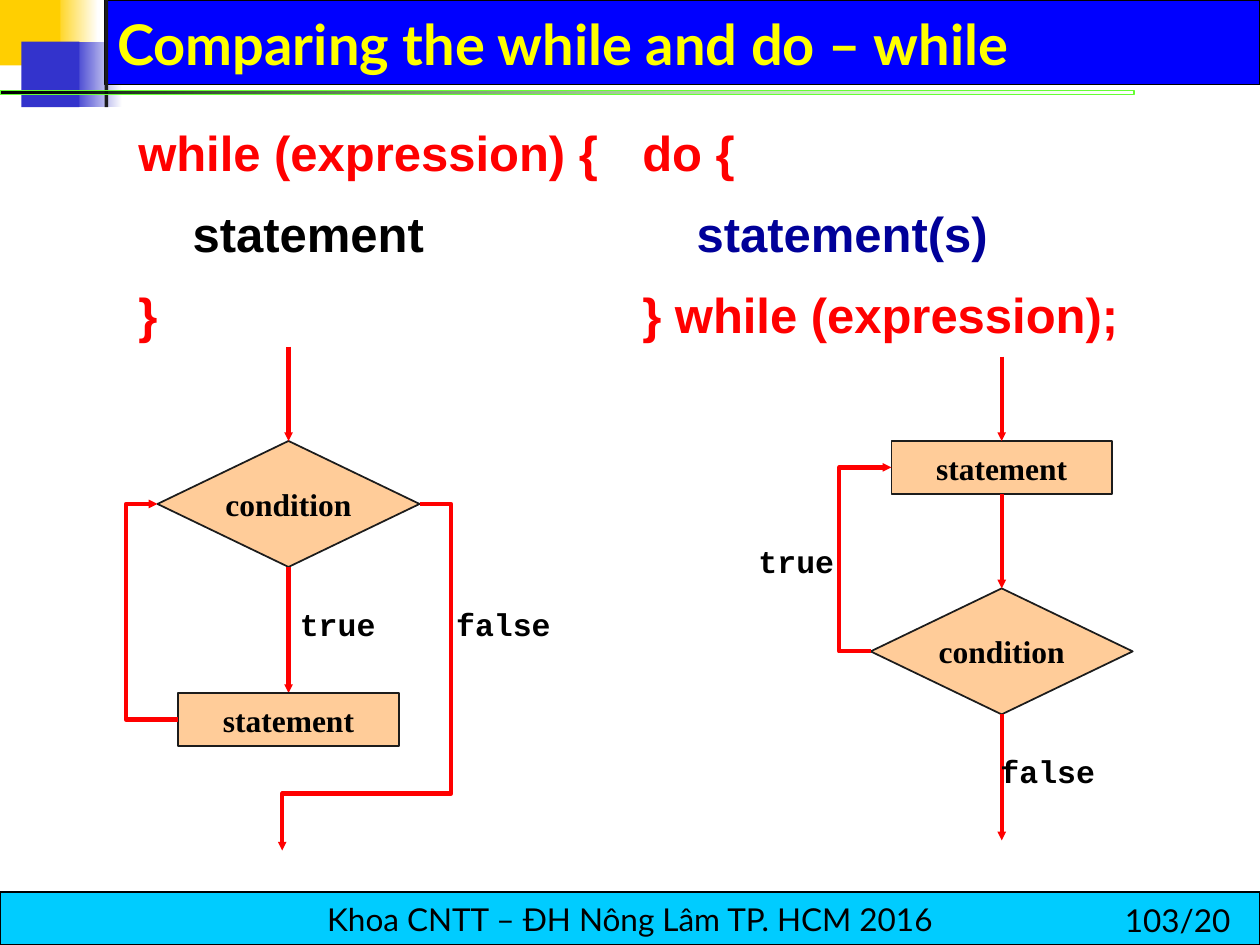
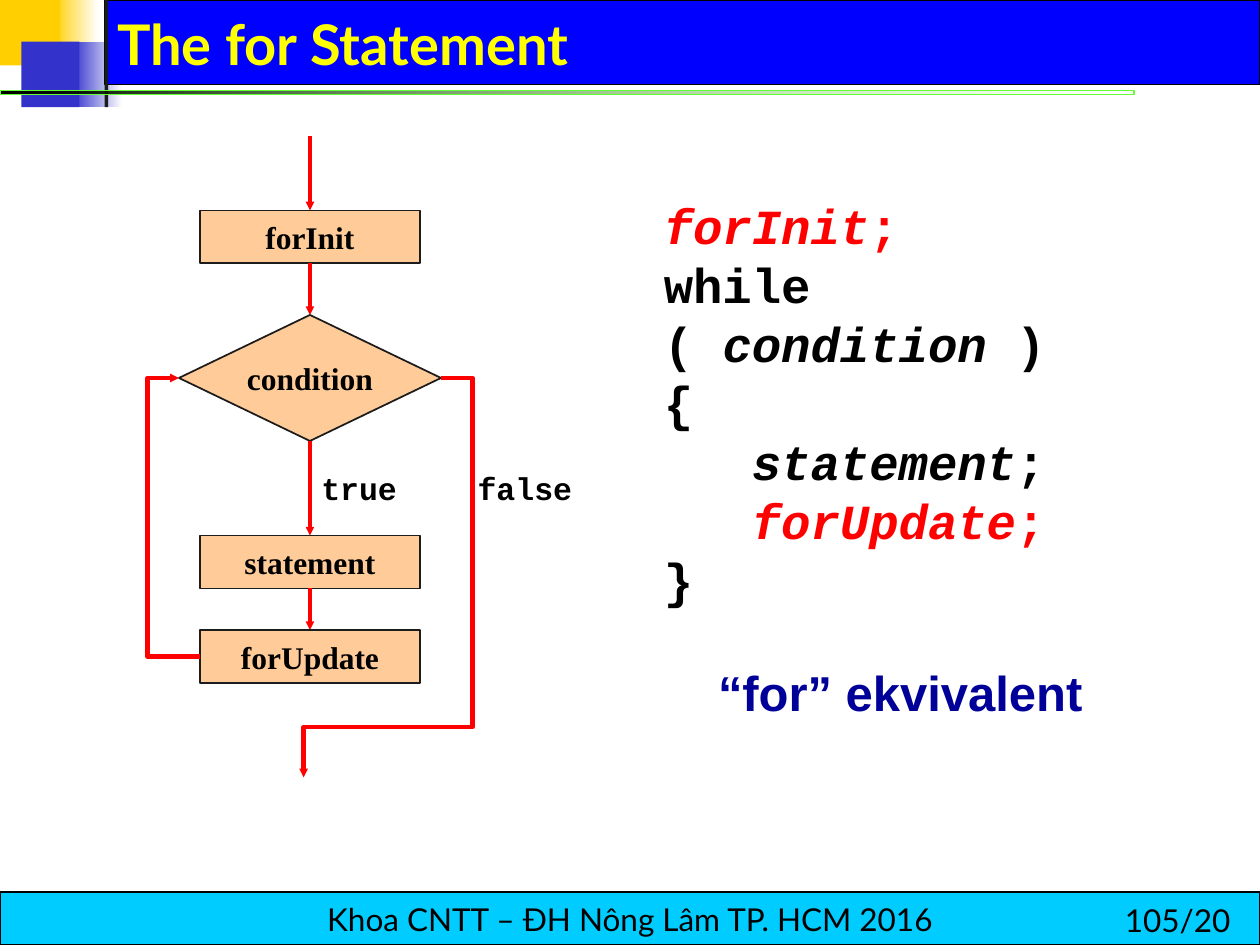
from pptx import Presentation
from pptx import util as u
from pptx.dml.color import RGBColor
from pptx.enum import shapes, text
from pptx.oxml.ns import qn
from lxml import etree

Inches, Pt = u.Inches, u.Pt
RECT, DIAMOND = shapes.MSO_SHAPE.RECTANGLE, shapes.MSO_SHAPE.DIAMOND
STRAIGHT, ELBOW = shapes.MSO_CONNECTOR.STRAIGHT, shapes.MSO_CONNECTOR.ELBOW
MIDDLE, CENTER = text.MSO_ANCHOR.MIDDLE, text.PP_ALIGN.CENTER

RED, NAVY, BLACK, INK = "FF0000", "000099", "000000", "1C1C1C"
YELLOW, GOLD, INDIGO, GREEN = "FFFF00", "FFCF01", "3333CC", "66FF33"
BLUE, CYAN, PEACH, WHITE = "0000FF", "00CCFF", "FFCC99", "FFFFFF"
TITLE_FONT, BODY, CODE, NODE = "Lato", "Arial", "Courier New", "Times New Roman"

BOX_W, BOX_H = 1.75, 0.42
DIA_W, DIA_H = 2.08, 1.0
LOOP_GAP = 0.25  # distance from the diamond's tips to the side lines


def rgb(color):
    return RGBColor.from_string(color)


def add_run(p, words, size, font, color, bold=True, italic=False):
    r = p.add_run()
    r.text = words
    f = r.font
    f.size, f.name, f.bold, f.italic = Pt(size), font, bold, italic
    f.color.rgb = rgb(color)


def add_shape(s, kind, x, y, w, h, fill, line=None, line_w=0.75):
    """Preset shape; a pair of colours as fill gives a left-to-right gradient."""
    sp = s.shapes.add_shape(kind, Inches(x), Inches(y), Inches(w), Inches(h))
    sp.shadow.inherit = False
    if isinstance(fill, tuple):
        sp.fill.gradient()
        sp.fill.gradient_angle = 0
        for stop, color in zip(sp.fill.gradient_stops, fill):
            stop.color.rgb = rgb(color)
    else:
        sp.fill.solid()
        sp.fill.fore_color.rgb = rgb(fill)
    if line:
        sp.line.color.rgb = rgb(line)
        sp.line.width = Pt(line_w)
    else:
        sp.line.fill.background()
    return sp


def center_text(sp, words, size, font, bold=True):
    tf = sp.text_frame
    tf.word_wrap = False
    tf.vertical_anchor = MIDDLE
    p = tf.paragraphs[0]
    p.alignment = CENTER
    add_run(p, words, size, font, BLACK, bold)


def add_box(s, x, y, w, h, wrap=True):
    tb = s.shapes.add_textbox(Inches(x), Inches(y), Inches(w), Inches(h))
    tb.text_frame.word_wrap = wrap
    return tb


def next_paragraph(tf, first):
    return tf.paragraphs[0] if first else tf.add_paragraph()


# Flow chart parts
def node(s, kind, cx, y, words):
    w, h = (DIA_W, DIA_H) if kind == DIAMOND else (BOX_W, BOX_H)
    sp = add_shape(s, kind, cx - w / 2, y, w, h, PEACH, INK, 1)
    center_text(sp, words, 18, NODE)


def label(s, x, y, words):
    w = 0.8 if words == "true" else 0.95
    center_text(add_box(s, x, y, w, 0.4, False), words, 18, CODE)


def arrow(s, x1, y1, x2, y2, via_x=None, via_y=None):
    """Red arrow; via_x bends it sideways, via_y adds a last drop to the end."""
    c = s.shapes.add_connector(STRAIGHT if via_x is None else ELBOW,
                               Inches(x1), Inches(y1), Inches(x2), Inches(y2))
    c.line.color.rgb = rgb(RED)
    c.line.width = Pt(2.5)
    ln = c.element.spPr.find(qn("a:ln"))
    etree.SubElement(ln, qn("a:tailEnd"), type="triangle", w="sm", len="sm")
    etree.SubElement(c.element.spPr, qn("a:effectLst"))
    if via_x is None:
        return
    bends = [(via_x - x1) / (x2 - x1)]
    if via_y is not None:
        bends.append((via_y - y1) / (y2 - y1))
    geom = c.element.spPr.find(qn("a:prstGeom"))
    geom.set("prst", f"bentConnector{len(bends) + 2}")
    for i, bend in enumerate(bends, 1):
        etree.SubElement(geom.find(qn("a:avLst")), qn("a:gd"),
                         name=f"adj{i}", fmla=f"val {round(bend * 100000)}")


def test_first_loop(s, cx, top, entry, steps, label_y, exit_bend, exit_end):
    """Condition at the top, steps below it, loop on the left, exit on the right."""
    left, right, mid = cx - DIA_W / 2, cx + DIA_W / 2, top + DIA_H / 2
    node(s, DIAMOND, cx, top, "condition")
    arrow(s, cx, entry, cx, top)
    y = top + DIA_H
    for words, step_y in steps:
        arrow(s, cx, y, cx, step_y)
        node(s, RECT, cx, step_y, words)
        y = step_y + BOX_H
    arrow(s, cx - BOX_W / 2, y - BOX_H / 2, left, mid, left - LOOP_GAP)
    arrow(s, right, mid, cx - 0.05, exit_end, right + LOOP_GAP, exit_bend)
    label(s, cx - 0.01, label_y, "true")
    label(s, cx + 1.23, label_y, "false")


def test_last_loop(s, cx, entry, step_y, top, end):
    left = cx - DIA_W / 2
    node(s, RECT, cx, step_y, "statement")
    node(s, DIAMOND, cx, top, "condition")
    arrow(s, cx, entry, cx, step_y)
    arrow(s, cx, step_y + BOX_H, cx, top)
    arrow(s, cx, top + DIA_H, cx, end)
    arrow(s, left, top + DIA_H / 2, cx - BOX_W / 2, step_y + BOX_H / 2,
          left - LOOP_GAP)
    label(s, 5.92, 4.25, "true")
    label(s, 7.84, 5.92, "false")


# Code text
def syntax(s, x, lines):
    tf = add_box(s, x, 0.92, 4.5, 1.88).text_frame
    for i, (words, color) in enumerate(lines):
        p = next_paragraph(tf, i == 0)
        p.space_before = Pt(12.8 if i else 0)
        add_run(p, words, 28, BODY, color)


def for_equivalent(s):
    tf = add_box(s, 5.17, 1.72, 4.62, 3.84).text_frame
    tf.vertical_anchor = MIDDLE
    # Each run: words, colour, italic
    lines = [
        [("forInit", RED, True), (";", RED, False)],
        [("while", BLACK, False)],
        [("( ", BLACK, False), ("condition", BLACK, True), (" )", BLACK, False)],
        [("{", BLACK, False)],
        [("   ", BLACK, False), ("statement", BLACK, True), (";", BLACK, False)],
        [("   ", BLACK, False), ("forUpdate", RED, True), (";", RED, False)],
        [("}", BLACK, False)],
    ]
    for i, runs in enumerate(lines):
        p = next_paragraph(tf, i == 0)
        p.line_spacing = Pt(33.7)
        for words, color, italic in runs:
            add_run(p, words, 28, CODE, color, italic=italic)
    # Caption, set in from the code
    p = tf.add_paragraph()
    p.space_before = Pt(31)
    p.line_spacing = Pt(33.7)
    p._p.get_or_add_pPr().set("marL", str(Inches(0.43)))
    add_run(p, "“for” ekvivalent", 28, BODY, NAVY)


# Shared frame: corner blocks, title band, rule, footer
def new_slide(prs, title, page):
    s = prs.slides.add_slide(prs.slide_layouts[5])
    add_shape(s, RECT, 0.42, 0, 0.36, 0.52, (GOLD, WHITE))
    add_shape(s, RECT, 0.57, 0.33, 0.4, 0.52, (INDIGO, WHITE))
    add_shape(s, RECT, 0.83, 0, 9.17, 0.67, BLUE, BLACK)
    add_shape(s, RECT, 0, 0, 0.48, 0.52, GOLD)
    add_shape(s, RECT, 0.17, 0.33, 0.46, 0.52, INDIGO)
    add_shape(s, RECT, 0.83, 0, 0.03, 0.85, INK)
    rule = add_shape(s, RECT, 0, 0.72, 9, 0.03, (BLACK, GREEN), GREEN, 0)
    end_color = rule.element.spPr.findall(".//" + qn("a:gs"))[-1][0]
    etree.SubElement(end_color, qn("a:alpha"), val="0")
    footer = add_shape(s, RECT, 0, 7.08, 10, 0.42, CYAN, BLACK)
    center_text(footer, "Khoa CNTT – ĐH Nông Lâm TP. HCM 2016", 18, TITLE_FONT, False)
    number = add_box(s, 8.83, 7.1, 1.17, 0.4, False)
    add_run(number.text_frame.paragraphs[0], f"{page}/201", 18, TITLE_FONT, BLACK, False)

    sp = s.shapes.title
    s.shapes.element.append(sp.element)  # bring in front of the band
    sp.left, sp.top, sp.width, sp.height = map(Inches, (0.83, 0.08, 8.94, 0.58))
    tf = sp.text_frame
    tf.vertical_anchor = text.MSO_ANCHOR.BOTTOM
    p = tf.paragraphs[0]
    p.alignment = text.PP_ALIGN.LEFT
    add_run(p, title, 32, TITLE_FONT, YELLOW)
    return s


def main():
    prs = Presentation()
    prs.slide_width, prs.slide_height = Inches(10), Inches(7.5)

    s = new_slide(prs, "Comparing the while and do – while", 103)
    syntax(s, 1, [("while (expression) {", RED), ("    statement", BLACK), ("}", RED)])
    syntax(s, 5, [("do {", RED), ("    statement(s)", NAVY),
                  ("} while (expression);", RED)])
    test_first_loop(s, 2.29, 3.5, 2.75, [("statement", 5.5)], 4.75, 6.3, 6.75)
    test_last_loop(s, 7.95, 2.83, 3.5, 4.67, 6.67)

    s = new_slide(prs, "The for Statement", 105)
    node(s, RECT, 2.46, 1.67, "forInit")
    arrow(s, 2.46, 1.08, 2.46, 1.67)
    test_first_loop(s, 2.46, 2.5, 1.67 + BOX_H,
                    [("statement", 4.25), ("forUpdate", 5)], 3.67, 5.77, 6.17)
    for_equivalent(s)

    prs.save("out.pptx")


if __name__ == "__main__":
    main()
